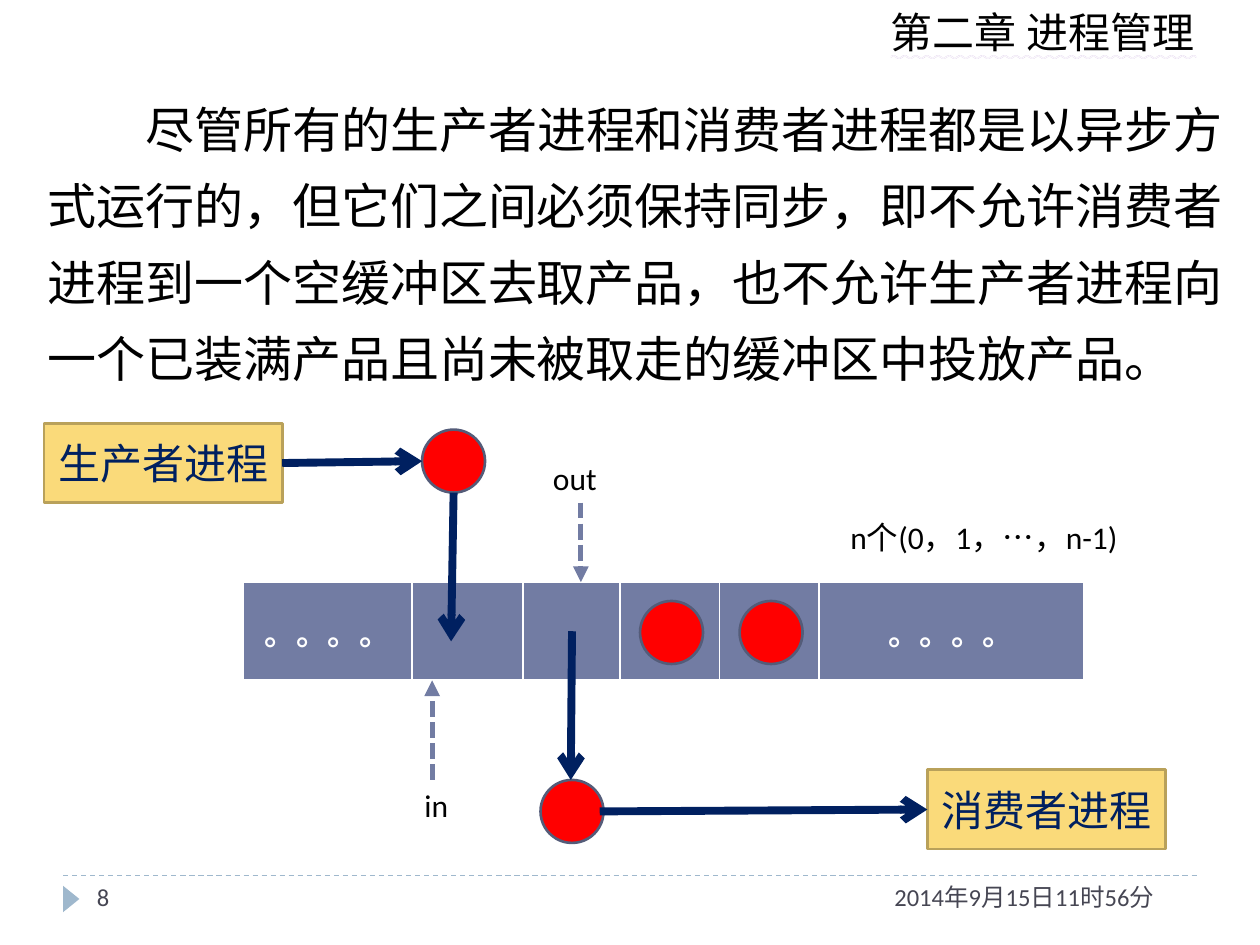
from dataclasses import dataclass
from itertools import groupby

from lxml.etree import SubElement
from pptx import Presentation
from pptx.dml.color import RGBColor
from pptx.enum.dml import MSO_LINE_DASH_STYLE as Dash
from pptx.enum.shapes import MSO_CONNECTOR, MSO_SHAPE as Preset
from pptx.enum.text import MSO_ANCHOR as Anchor, MSO_TEXT_UNDERLINE_TYPE as Underline, PP_ALIGN as Align
from pptx.oxml.ns import qn
from pptx.util import Pt

PX = 9144


@dataclass(frozen=True)
class Theme:
    latin: str = "Calibri"
    body_font: str = "Arial"
    cjk: str = "Noto Sans CJK SC"
    black: str = "000000"
    white: str = "FFFFFF"
    footer: str = "464653"
    rule: str = "9FB8CD"
    wave: str = "CDB5E0"
    buffer: str = "727CA3"
    product: str = "FF0000"
    product_edge: str = "545C79"
    flow: str = "002060"
    process: str = "FADA7A"
    process_edge: str = "B9A15A"
    body_size: int = 28
    heading_size: int = 24
    label_size: int = 18
    footer_size: int = 14


@dataclass(frozen=True)
class Box:
    left: int
    top: int
    width: int
    height: int

    def emu(self) -> tuple[int, ...]:
        return tuple(v * PX for v in (self.left, self.top, self.width, self.height))


@dataclass(frozen=True)
class Label:
    text: str
    box: Box
    size: int
    color: str
    font: str = "Calibri"
    wrap: bool = True


@dataclass(frozen=True)
class Arrow:
    start: tuple[int, int]
    end: tuple[int, int]
    color: str
    weight: float
    head: str = ""
    dash: Dash | None = None


THEME = Theme()


def style(paragraph, size: int, color: str, font: str = THEME.latin, align: Align = Align.LEFT) -> None:
    paragraph.alignment = align
    paragraph.font.size = Pt(size)
    paragraph.font.color.rgb = RGBColor.from_string(color)
    paragraph.font.name = font


def draw_label(slide, label: Label):
    frame = slide.shapes.add_textbox(*label.box.emu()).text_frame
    frame.word_wrap = label.wrap
    paragraph = frame.paragraphs[0]
    paragraph.text = label.text
    style(paragraph, label.size, label.color, label.font)
    return paragraph


def draw_shape(slide, preset: Preset, box: Box, fill: str, edge: str = ""):
    shape = slide.shapes.add_shape(preset, *box.emu())
    shape.shadow.inherit = False
    shape.fill.solid()
    shape.fill.fore_color.rgb = RGBColor.from_string(fill)
    if edge:
        shape.line.color.rgb = RGBColor.from_string(edge)
        shape.line.width = Pt(1.5)
    else:
        shape.line.fill.background()
    return shape


def draw_process(slide, text: str, box: Box):
    process = draw_shape(slide, Preset.RECTANGLE, box, THEME.process, THEME.process_edge)
    process.text_frame.vertical_anchor = Anchor.MIDDLE
    paragraph = process.text_frame.paragraphs[0]
    paragraph.text = text
    style(paragraph, THEME.heading_size, THEME.flow, align=Align.CENTER)
    return process


def draw_arrow(slide, arrow: Arrow):
    ends = [v * PX for v in arrow.start + arrow.end]
    connector = slide.shapes.add_connector(MSO_CONNECTOR.STRAIGHT, *ends)
    line = connector.line
    line.color.rgb = RGBColor.from_string(arrow.color)
    line.width = Pt(arrow.weight)
    if arrow.dash:
        line.dash_style = arrow.dash
    properties = connector._element.spPr
    if arrow.head:
        SubElement(properties.find(qn("a:ln")), qn("a:tailEnd"), type=arrow.head)
    SubElement(properties, qn("a:effectLst"))
    return connector


def draw_title(slide, text: str, box: Box) -> None:
    title = slide.shapes.title
    title.left, title.top, title.width, title.height = box.emu()
    frame = title.text_frame
    frame.word_wrap = False
    frame.vertical_anchor = Anchor.TOP
    paragraph = frame.paragraphs[0]
    paragraph.text = text
    style(paragraph, THEME.heading_size, THEME.black)
    paragraph.font.underline = Underline.WAVY_DOUBLE_LINE
    latin = paragraph._p.pPr.find(qn("a:defRPr")).find(qn("a:latin"))
    wave = latin.makeelement(qn("a:uFill"))
    SubElement(SubElement(wave, qn("a:solidFill")), qn("a:srgbClr"), val=THEME.wave)
    latin.addprevious(wave)


def draw_buffer(slide, texts: list[str], widths: list[int], box: Box) -> None:
    table = slide.shapes.add_table(1, len(texts), *box.emu()).table
    table.first_row = table.horz_banding = False
    table.rows[0].height = box.height * PX
    for index, (text, width) in enumerate(zip(texts, widths)):
        table.columns[index].width = width * PX
        cell = table.cell(0, index)
        properties = cell._tc.get_or_add_tcPr()
        for side, weight in (("L", 1), ("R", 1), ("T", 1), ("B", 3)):
            border = SubElement(properties, qn(f"a:ln{side}"), w=str(Pt(weight)))
            SubElement(SubElement(border, qn("a:solidFill")), qn("a:srgbClr"), val=THEME.white)
        cell.fill.solid()
        cell.fill.fore_color.rgb = RGBColor.from_string(THEME.buffer)
        cell.vertical_anchor = Anchor.MIDDLE
        paragraph = cell.text_frame.paragraphs[0]
        paragraph.text = text
        style(paragraph, THEME.label_size, THEME.white, align=Align.CENTER)
        paragraph.font.bold = True


def main() -> None:
    deck = Presentation()
    deck.slide_width, deck.slide_height = 1000 * PX, 750 * PX
    slide = deck.slides.add_slide(deck.slide_layouts[5])

    draw_title(slide, "第二章 进程管理", Box(697, 0, 266, 50))
    draw_arrow(slide, Arrow((50, 695), (950, 695), THEME.rule, 0.75, dash=Dash.DASH))
    draw_shape(slide, Preset.ISOSCELES_TRIANGLE, Box(46, 707, 21, 13), THEME.rule).rotation = 90
    for text, box in (("2014年9月15日11时56分", Box(700, 695, 250, 40)), ("8", Box(67, 695, 217, 40))):
        draw_label(slide, Label(text, box, THEME.footer_size, THEME.footer))

    body = draw_label(slide, Label(
        "尽管所有的生产者进程和消费者进程都是以异步方式运行的，但它们之间必须保持同步，"
        "即不允许消费者进程到一个空缓冲区去取产品，也不允许生产者进程向一个已装满产品且"
        "尚未被取走的缓冲区中投放产品。",
        Box(28, 60, 972, 255), THEME.body_size, THEME.black, THEME.body_font))
    body.line_spacing = 1.3
    body._p.pPr.set("indent", str(Pt(2 * THEME.body_size)))

    dots = "。。。。"
    draw_buffer(slide, [dots, "", "", "", "", dots], [134, 88, 77, 79, 79, 210], Box(193, 462, 667, 79))
    for left, top in ((587, 477), (508, 477), (429, 619), (335, 341)):
        draw_shape(slide, Preset.FLOWCHART_CONNECTOR, Box(left, top, 50, 50), THEME.product, THEME.product_edge)

    producer = draw_process(slide, "生产者进程", Box(35, 336, 189, 63))
    consumer = draw_process(slide, "消费者进程", Box(736, 611, 189, 63))
    produce, put, take, consume = (
        draw_arrow(slide, Arrow(start, end, THEME.flow, 4.5, "arrow"))
        for start, end in (((224, 367), (335, 366)), ((360, 391), (358, 509)),
                           ((454, 501), (453, 619)), ((476, 644), (736, 643))))
    produce.begin_connect(producer, 3)
    consume.end_connect(consumer, 1)

    for start, end in (((343, 619), (343, 540)), ((461, 399), (461, 462))):
        draw_arrow(slide, Arrow(start, end, THEME.buffer, 3, "triangle", Dash.SQUARE_DOT))
    for text, box in (("in", Box(327, 619, 42, 40)), ("out", Box(429, 359, 61, 40))):
        draw_label(slide, Label(text, box, THEME.label_size, THEME.black, wrap=False))

    capacity = draw_label(slide, Label("", Box(665, 406, 245, 40), THEME.label_size, THEME.black))
    for is_cjk, letters in groupby("n个(0，1，…，n-1)", lambda letter: letter in "个，"):
        run = capacity.add_run()
        run.text = "".join(letters)
        run.font.name = THEME.cjk if is_cjk else THEME.latin

    deck.save("out.pptx")


if __name__ == "__main__":
    main()
